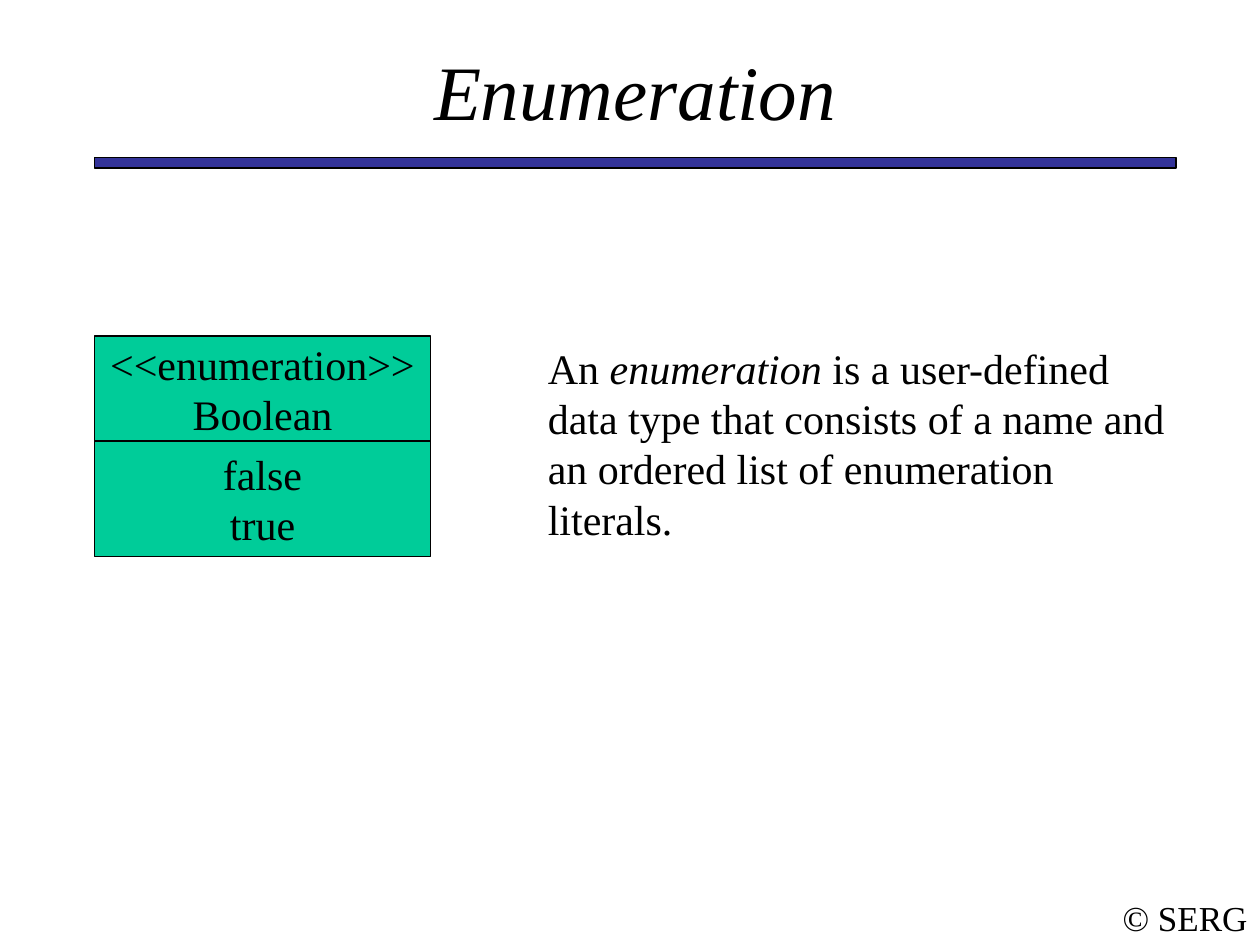
"""Build the Enumeration slide: a UML enumeration box beside its definition."""
from pptx import Presentation
from pptx.dml.color import RGBColor
from pptx.enum.shapes import MSO_SHAPE as Shape
from pptx.enum.text import MSO_ANCHOR as Anchor, PP_ALIGN as Align
from pptx.util import Pt

PX = 9525


def paint(color, hex_value):
    color.rgb = RGBColor.from_string(hex_value)


def write(box, paragraphs, size=24, align=Align.CENTER, anchor=Anchor.MIDDLE, wrap=False):
    frame = box.text_frame
    frame.word_wrap = wrap
    frame.vertical_anchor = anchor
    for index, pieces in enumerate(paragraphs):
        para = frame.add_paragraph() if index else frame.paragraphs[0]
        para.alignment = align
        for text, italic in pieces:
            span = para.add_run()
            span.text = text
            span.font.name = "Times New Roman"
            span.font.size = Pt(size)
            span.font.italic = italic
            paint(span.font.color, "000000")


deck = Presentation()
deck.slide_width, deck.slide_height = 960 * PX, 720 * PX
page = deck.slides.add_slide(deck.slide_layouts[5])

title = page.shapes.title
title.left, title.top, title.width, title.height = 72 * PX, 40 * PX, 824 * PX, 56 * PX
write(title, [[("Enumeration", True)]], size=44, wrap=True)

footer = page.shapes.add_textbox(846 * PX, 678 * PX, 114 * PX, 42 * PX)
footer.text_frame.margin_left = footer.text_frame.margin_right = 0
write(footer, [[("© SERG", False)]], size=20)

class_box = page.shapes.add_group_shape()
for parent, top, width, height, fill, lines in [
    (page, 120, 824, 8, "333399", []),
    (class_box, 256, 256, 80, "00CC99", ["<<enumeration>>", "Boolean"]),
    (class_box, 336, 256, 88, "00CC99", ["false", "true"]),
]:
    box = parent.shapes.add_shape(Shape.RECTANGLE, 72 * PX, top * PX, width * PX, height * PX)
    box.shadow.inherit = False
    box.fill.solid()
    paint(box.fill.fore_color, fill)
    paint(box.line.color, "000000")
    box.line.width = Pt(0.75)
    write(box, [[(line, False)] for line in lines])

definition = page.shapes.add_textbox(408 * PX, 256 * PX, 493 * PX, 163 * PX)
write(
    definition,
    [[
        ("An ", False),
        ("enumeration", True),
        (" is a user-defined data type that consists of a name and "
         "an ordered list of enumeration literals.", False),
    ]],
    align=Align.LEFT,
    anchor=Anchor.TOP,
    wrap=True,
)

deck.save("out.pptx")
